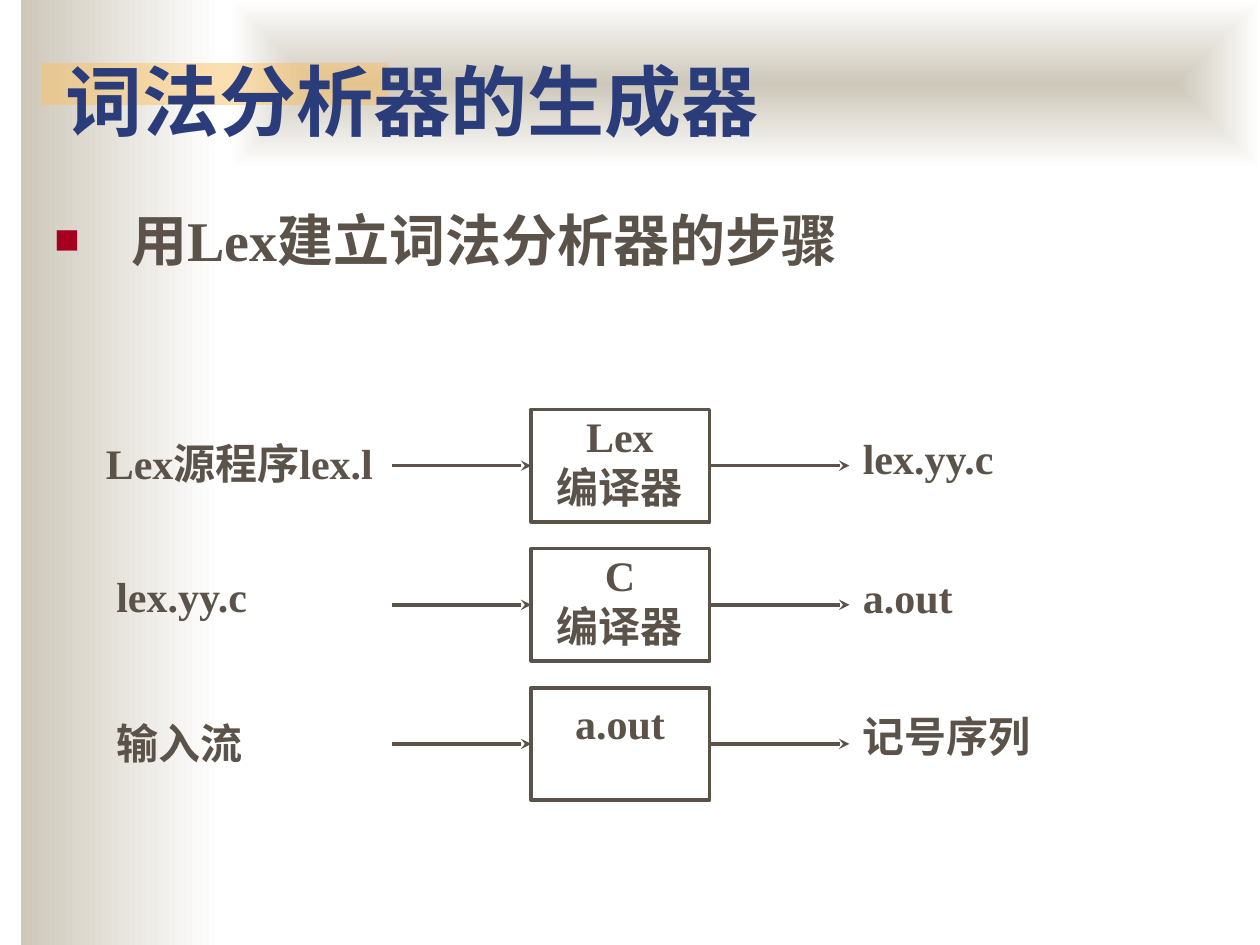
from lxml import etree
from pptx import Presentation, util as u
from pptx.dml.color import RGBColor
from pptx.enum import shapes, text
from pptx.oxml.ns import qn

INK, SAND, NAVY = "5B5249", "CEC8BA", "2A3D7A"
UNIT = u.Inches(1 / 12)  # the slide is a grid of 120 columns by 90 rows


def grid(*cells):
    return [round(cell * UNIT) for cell in cells]


def write(shape, lines, size, color=INK, align=text.PP_ALIGN.LEFT, **frame_format):
    """Put one paragraph per line into the shape's text frame."""
    frame = shape.text_frame
    frame_format = {"word_wrap": True, "auto_size": text.MSO_AUTO_SIZE.NONE,
                    "vertical_anchor": text.MSO_ANCHOR.TOP, **frame_format}
    for name, value in frame_format.items():
        setattr(frame, name, value)
    frame.text = "\n".join(lines)
    for paragraph in frame.paragraphs:
        paragraph.alignment = align
        for run in paragraph.runs:
            for name, value in {"name": "Times New Roman", "size": u.Pt(size), "bold": True}.items():
                setattr(run.font, name, value)
            run.font.color.rgb = RGBColor.from_string(color)


presentation = Presentation()
presentation.slide_width, presentation.slide_height = grid(120, 90)
slide = presentation.slides.add_slide(presentation.slide_layouts[5])

# Backdrop: side band, top band, accent bar
backdrop = []
for cells in [(2, 0, 19, 90), (22, 0, 98, 16), (4, 6, 33, 4)]:
    shape = slide.shapes.add_shape(shapes.MSO_SHAPE.RECTANGLE, *grid(*cells))
    shape.shadow.inherit = False
    shape.line.fill.background()
    backdrop.append(shape)
side_band, top_band, accent_bar = backdrop

for band in (side_band, top_band):
    band.fill.gradient()
    band.fill.gradient_angle = 0
    for stop, position, color in zip(band.fill.gradient_stops, (0, 1), (SAND, "FFFFFF")):
        stop.position = position
        stop.color.rgb = RGBColor.from_string(color)
linear = top_band._element.spPr.find(".//" + qn("a:lin"))
radial = etree.Element(qn("a:path"), path="rect")
etree.SubElement(radial, qn("a:fillToRect"), l="50000", t="50000", r="50000", b="50000")
linear.getparent().replace(linear, radial)

accent_bar.fill.solid()
accent_bar.fill.fore_color.rgb = RGBColor.from_string("FAC164")
accent_color = accent_bar._element.spPr.find(".//" + qn("a:srgbClr"))
etree.SubElement(accent_color, qn("a:alpha"), val="50000")

# Title, in front of the backdrop
title = slide.shapes.title
title.left, title.top, title.width, title.height = grid(5, 4, 110, 11)
write(title, ["词法分析器的生成器"], 44, NAVY, vertical_anchor=text.MSO_ANCHOR.MIDDLE)
slide.shapes._spTree.append(title._element)

# Bulleted heading
heading = slide.shapes.add_textbox(*grid(4, 19, 111, 10))
write(heading, ["用Lex建立词法分析器的步骤"], 32)
properties = heading.text_frame.paragraphs[0]._p.get_or_add_pPr()
indent = u.Inches(0.61)
properties.set("marL", str(indent))
properties.set("indent", str(-indent))
bullet_color = etree.SubElement(properties, qn("a:buClr"))
etree.SubElement(bullet_color, qn("a:srgbClr"), val="A50021")
etree.SubElement(properties, qn("a:buSzPct"), val="75000")
etree.SubElement(properties, qn("a:buFont"), typeface="Times New Roman")
etree.SubElement(properties, qn("a:buChar"), char="■")

# Steps: input -> tool -> output
BOX_LEFT, BOX_TOP, BOX_WIDTH, BOX_HEIGHT, PITCH = 50.6, 39, 17, 10.7, 13.25
BOX_RIGHT = BOX_LEFT + BOX_WIDTH
side_margins = {"margin_left": u.Inches(0.09), "margin_right": u.Inches(0.1)}
label_margins = {**side_margins, "margin_top": u.Inches(0.03)}
steps = [  # input, its column, row and width; tool lines, top margin; output
    ("Lex源程序lex.l", (9, 41.3, 27.8), ["Lex", "编译器"], 0.01, "lex.yy.c"),
    ("lex.yy.c", (10, 54, 17), ["C", "编译器"], 0.01, "a.out"),
    ("输入流", (10, 68, 16), ["a.out"], 0.08, "记号序列"),
]
for index, (source, source_cells, tool, top_margin, result) in enumerate(steps):
    top = BOX_TOP + index * PITCH
    middle = top + BOX_HEIGHT / 2

    box = slide.shapes.add_shape(shapes.MSO_SHAPE.RECTANGLE,
                                 *grid(BOX_LEFT, top, BOX_WIDTH, BOX_HEIGHT))
    box.shadow.inherit = False
    box.fill.background()
    box.line.color.rgb = RGBColor.from_string(INK)
    box.line.width = u.Pt(2)
    write(box, tool, 24, align=text.PP_ALIGN.CENTER, margin_top=u.Inches(top_margin),
          margin_bottom=u.Inches(0.01), **side_margins)

    for start, end in [(37.3, BOX_LEFT), (BOX_RIGHT, 80.9)]:
        arrow = slide.shapes.add_connector(shapes.MSO_CONNECTOR.STRAIGHT,
                                           *grid(start, middle, end, middle))
        if end == BOX_LEFT:
            arrow.end_connect(box, 1)
        else:
            arrow.begin_connect(box, 3)
        arrow.line.color.rgb = RGBColor.from_string(INK)
        arrow.line.width = u.Pt(2)
        etree.SubElement(arrow.line._get_or_add_ln(), qn("a:tailEnd"), type="stealth")
        etree.SubElement(arrow._element.spPr, qn("a:effectLst"))

    column, row, width = source_cells
    for label, cells in [(source, (column, row, width, 5.9)),
                         (result, (81.1, top + 1.8, 26.9, 5.9))]:
        label_box = slide.shapes.add_textbox(*grid(*cells))
        write(label_box, [label], 24, align=text.PP_ALIGN.JUSTIFY, **label_margins)

presentation.save("out.pptx")
